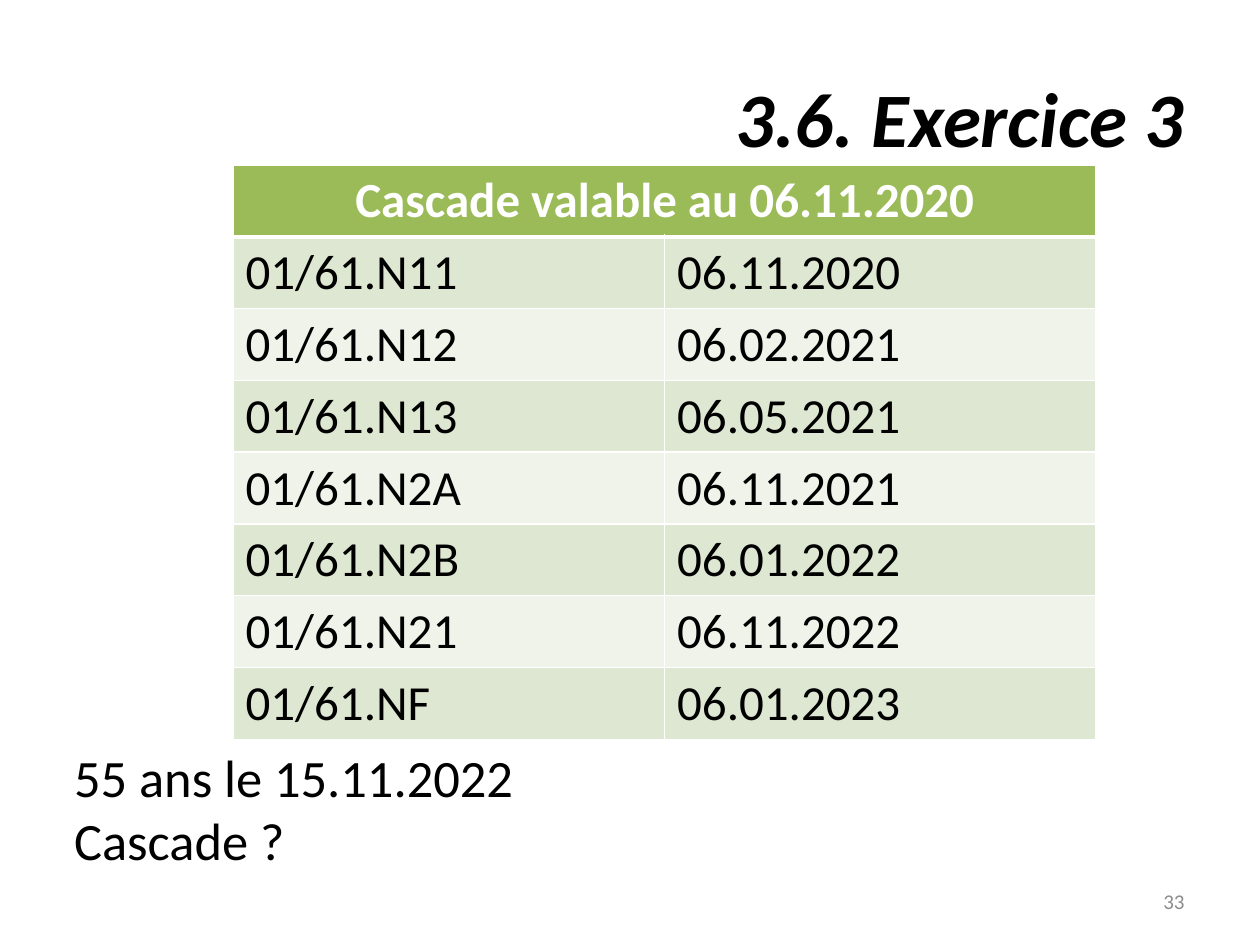
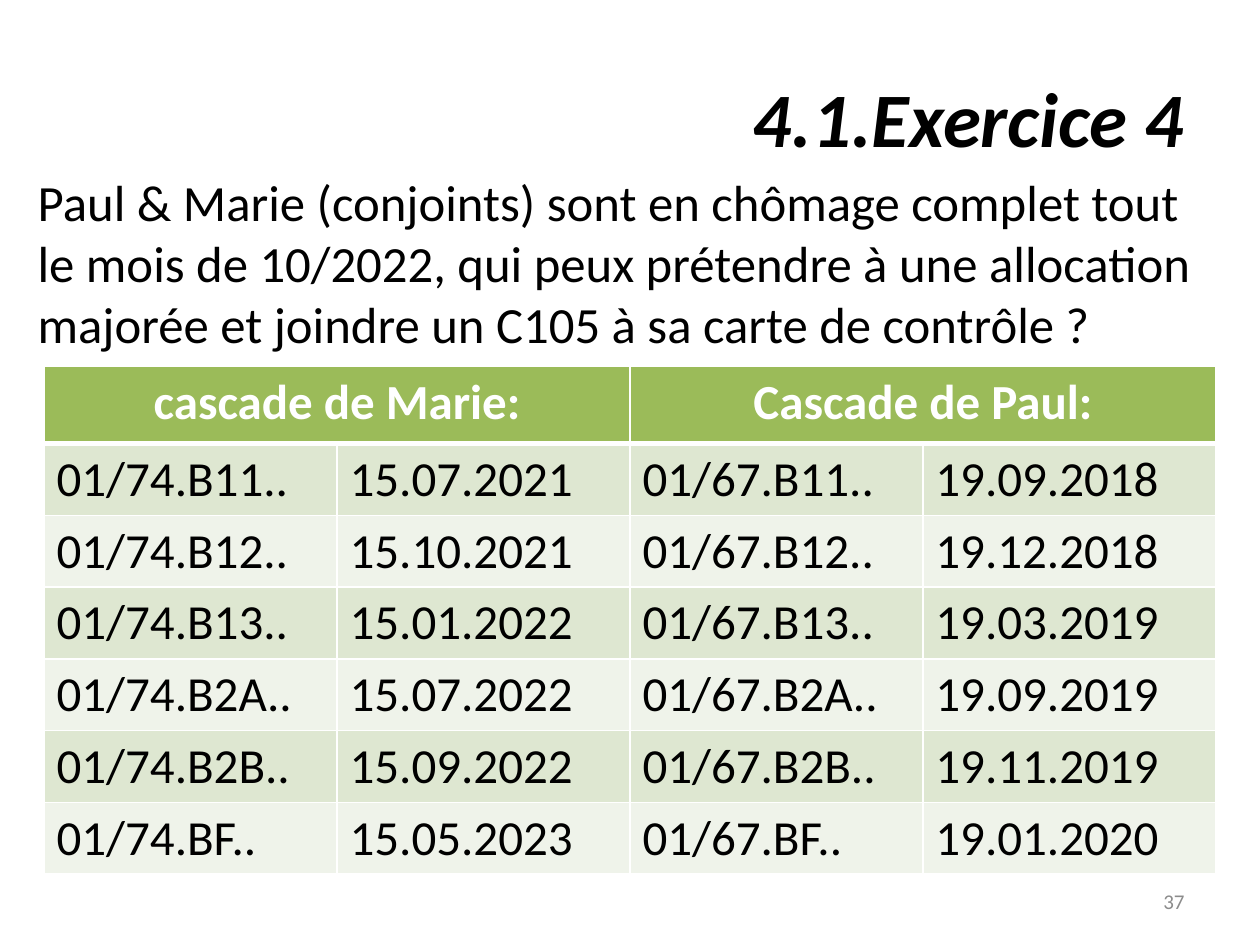
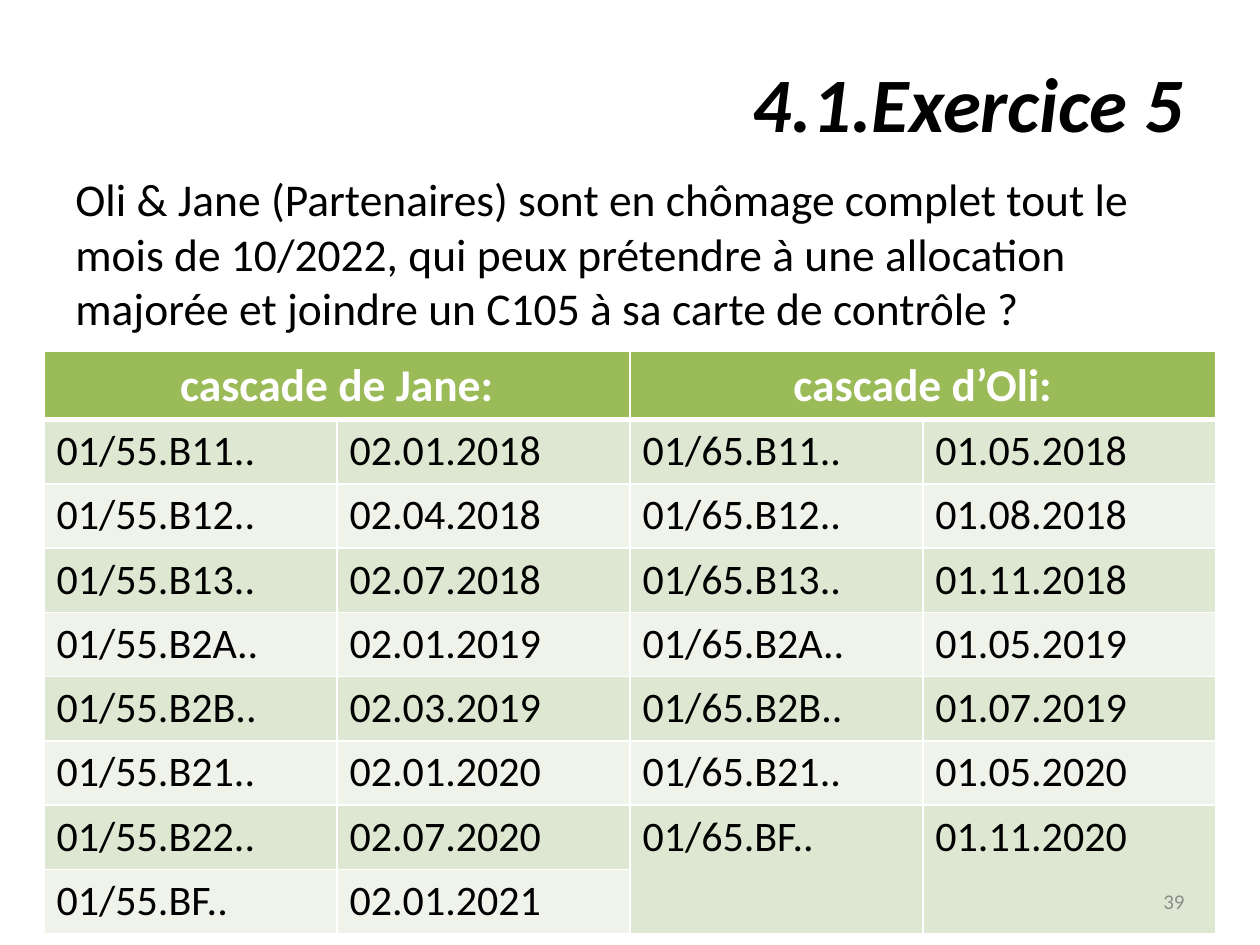
from dataclasses import dataclass

from lxml.etree import SubElement as Sub
from pptx import Presentation
from pptx.dml.color import RGBColor
from pptx.enum.text import MSO_ANCHOR as Anchor, PP_ALIGN as Align
from pptx.oxml.ns import qn
from pptx.util import Inches, Pt

# Content
QUIZ = ("sont en chômage complet tout le mois de 10/2022, qui peux prétendre "
        "à une allocation majorée et joindre un C105 à sa carte de contrôle ?")

# A head covers two columns; None joins a cell to the one above it.
SLIDES = [
    dict(
        title="3.6. Exercice 3", page="33", deep=1.25,
        heads=["Cascade valable au 06.11.2020"],
        rows=[
            ("01/61.N11", "06.11.2020"),
            ("01/61.N12", "06.02.2021"),
            ("01/61.N13", "06.05.2021"),
            ("01/61.N2A", "06.11.2021"),
            ("01/61.N2B", "06.01.2022"),
            ("01/61.N21", "06.11.2022"),
            ("01/61.NF", "06.01.2023"),
        ],
        grid=(1.85, 1.31, 6.85), tall=(0.57, 0.57), sizes=(28, 28),
        text=["55 ans le 15.11.2022", "Cascade ?"],
        box=(0.49, 5.86, 9, 1.11), size=30,
    ),
    dict(
        title="4.1.Exercice 4", page="37", deep=1.25,
        heads=["cascade de Marie:", "Cascade de Paul:"],
        rows=[
            ("01/74.B11..", "15.07.2021", "01/67.B11..", "19.09.2018"),
            ("01/74.B12..", "15.10.2021", "01/67.B12..", "19.12.2018"),
            ("01/74.B13..", "15.01.2022", "01/67.B13..", "19.03.2019"),
            ("01/74.B2A..", "15.07.2022", "01/67.B2A..", "19.09.2019"),
            ("01/74.B2B..", "15.09.2022", "01/67.B2B..", "19.11.2019"),
            ("01/74.BF..", "15.05.2023", "01/67.BF..", "19.01.2020"),
        ],
        grid=(0.35, 2.91, 9.3), tall=(0.61, 0.57), sizes=(28, 28),
        text=["Paul & Marie (conjoints) " + QUIZ],
        box=(0.2, 1.31, 9.61, 1.57), size=29,
    ),
    dict(
        title="4.1.Exercice 5", page="39", deep=1.01,
        heads=["cascade de Jane:", "cascade d’Oli:"],
        rows=[
            ("01/55.B11..", "02.01.2018", "01/65.B11..", "01.05.2018"),
            ("01/55.B12..", "02.04.2018", "01/65.B12..", "01.08.2018"),
            ("01/55.B13..", "02.07.2018", "01/65.B13..", "01.11.2018"),
            ("01/55.B2A..", "02.01.2019", "01/65.B2A..", "01.05.2019"),
            ("01/55.B2B..", "02.03.2019", "01/65.B2B..", "01.07.2019"),
            ("01/55.B21..", "02.01.2020", "01/65.B21..", "01.05.2020"),
            ("01/55.B22..", "02.07.2020", "01/65.BF..", "01.11.2020"),
            ("01/55.BF..", "02.01.2021", None, None),
        ],
        grid=(0.35, 2.79, 9.3), tall=(0.54, 0.51), sizes=(26, 24),
        text=["Oli & Jane (Partenaires) " + QUIZ],
        box=(0.5, 1.31, 9.3, 1.41), size=26,
    ),
]


@dataclass(frozen=True)
class Theme:
    font: str = "Calibri"
    ink: str = "000000"
    white: str = "FFFFFF"
    gray: str = "8C8C8C"
    green: str = "9BBB59"
    bands: tuple = ("DEE7D1", "EFF3EA")
    title: int = 44
    page: int = 12
    thin: int = 1
    thick: int = 3


T = Theme()


def write(frame, lines, size, color=T.ink, align=Align.LEFT, bold=False, italic=False):
    """Fill a text frame, one paragraph a line."""
    for i, line in enumerate(lines):
        par = frame.paragraphs[0] if i == 0 else frame.add_paragraph()
        par.alignment = align
        run = par.add_run()
        run.text = line
        font = run.font
        font.name, font.size = T.font, Pt(size)
        font.bold, font.italic = bold, italic
        font.color.rgb = RGBColor.from_string(color)


def add_text(slide, box, lines, size, anchor=Anchor.TOP, **style):
    frame = slide.shapes.add_textbox(*map(Inches, box)).text_frame
    frame.word_wrap = True
    frame.vertical_anchor = anchor
    write(frame, lines, size, **style)


def edge(cell, side, width):
    props = cell._tc.get_or_add_tcPr()
    line = Sub(props, qn("a:ln" + side), w=str(Pt(width)))
    fill = Sub(line, qn("a:solidFill"))
    Sub(fill, qn("a:srgbClr"), val=T.white)


def paint(cell, row):
    """Set the borders and the band colour of a cell."""
    widths = dict(L=T.thin, R=T.thin,
                  T=T.thick if row == 1 else T.thin,
                  B=T.thick if row == 0 else T.thin)
    for side, width in widths.items():
        edge(cell, side, width)
    cell.fill.solid()
    color = T.bands[(row - 1) % 2] if row else T.green
    cell.fill.fore_color.rgb = RGBColor.from_string(color)


def add_grid(slide, item):
    rows, (left, top, width) = item["rows"], item["grid"]
    first, rest = item["tall"]
    big, small = item["sizes"]
    cols = len(rows[0])
    box = (left, top, width, first + rest * len(rows))
    table = slide.shapes.add_table(len(rows) + 1, cols, *map(Inches, box)).table
    for col in table.columns:
        col.width = Inches(width / cols)
    for r, line in enumerate(table.rows):
        line.height = Inches(rest if r else first)
        for cell in line.cells:
            paint(cell, r)

    # Heads over pairs of columns
    for i, head in enumerate(item["heads"]):
        cell = table.cell(0, 2 * i)
        cell.merge(table.cell(0, 2 * i + 1))
        write(cell.text_frame, [head], big, color=T.white, align=Align.CENTER, bold=True)

    # Codes and dates
    for r, row in enumerate(rows, 1):
        for c, value in enumerate(row):
            cell = table.cell(r, c)
            if value is None:
                table.cell(r - 1, c).merge(cell)
            else:
                write(cell.text_frame, [value], small)


def main():
    deck = Presentation()
    deck.slide_width, deck.slide_height = Inches(10), Inches(7.5)
    for item in SLIDES:
        slide = deck.slides.add_slide(deck.slide_layouts[6])
        add_text(slide, (0.5, 0.3, 9, item["deep"]), [item["title"]], T.title,
                 anchor=Anchor.MIDDLE, align=Align.RIGHT, bold=True, italic=True)
        add_grid(slide, item)
        add_text(slide, (7.17, 6.95, 2.33, 0.4), [item["page"]], T.page,
                 anchor=Anchor.MIDDLE, align=Align.RIGHT, color=T.gray)
        add_text(slide, item["box"], item["text"], item["size"])
    deck.save("out.pptx")


if __name__ == "__main__":
    main()
